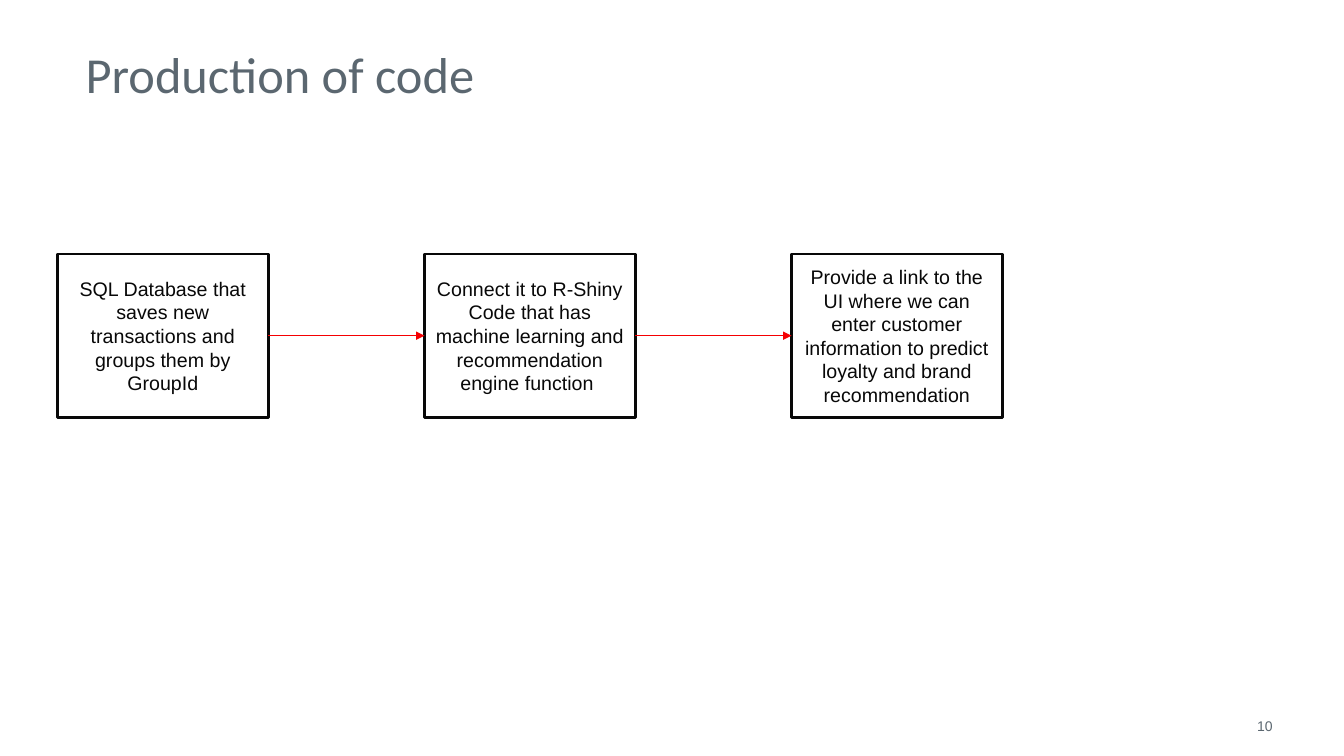
import dataclasses

import lxml.etree
import pptx
import pptx.dml.color
import pptx.enum.shapes
import pptx.enum.text
import pptx.oxml.ns
import pptx.util

Inch = pptx.util.Inches
Point = pptx.util.Pt
Color = pptx.dml.color.RGBColor.from_string
Align = pptx.enum.text.PP_ALIGN
Anchor = pptx.enum.text.MSO_ANCHOR


@dataclasses.dataclass(frozen=True)
class Theme:
    grey: str = "5B6770"
    ink: str = "080808"
    red: str = "F50002"
    white: str = "FFFFFF"
    head: str = "Calibri"
    body: str = "Arial"
    big: int = 36
    mid: int = 14
    small: int = 10
    edge: float = 2
    thin: float = 0.75


THEME = Theme()
STEPS = [
    "SQL Database that saves new transactions and groups them by GroupId",
    "Connect it to R-Shiny Code that has machine learning and recommendation engine function ",
    "Provide a link to the UI where we can enter customer information to predict "
    "loyalty and brand recommendation",
]


def apply(item, form):
    for name, value in form.items():
        setattr(item, name, value)


def place(shape, box):
    names = ("left", "top", "width", "height")
    apply(shape, dict(zip(names, map(Inch, box))))


def write(shape, text, size, font, color, align, anchor):
    frame = shape.text_frame
    frame.text = text
    apply(frame, {
        "word_wrap": True,
        "auto_size": pptx.enum.text.MSO_AUTO_SIZE.NONE,
        "vertical_anchor": anchor,
    })
    para = frame.paragraphs[0]
    para.alignment = align
    run = para.runs[0]
    apply(run.font, {"size": Point(size), "name": font})
    run.font.color.rgb = Color(color)


def stroke(line, color, width):
    line.color.rgb = Color(color)
    line.width = Point(width)


def title(slide, box, text):
    shape = slide.shapes.title
    place(shape, box)
    write(shape, text, THEME.big, THEME.head, THEME.grey, Align.LEFT, Anchor.BOTTOM)


def number(slide, box, text):
    shape = slide.shapes.add_textbox(*map(Inch, box))
    write(shape, text, THEME.small, THEME.body, THEME.grey, Align.RIGHT, Anchor.TOP)


def step(slide, box, text):
    kind = pptx.enum.shapes.MSO_SHAPE.RECTANGLE
    shape = slide.shapes.add_shape(kind, *map(Inch, box))
    shape.shadow.inherit = False
    shape.fill.solid()
    shape.fill.fore_color.rgb = Color(THEME.white)
    stroke(shape.line, THEME.ink, THEME.edge)
    write(shape, text, THEME.mid, THEME.body, THEME.ink, Align.CENTER, Anchor.MIDDLE)
    return shape


def arrow(slide, start, end):
    kind = pptx.enum.shapes.MSO_CONNECTOR.STRAIGHT
    link = slide.shapes.add_connector(kind, 0, 0, 0, 0)
    link.begin_connect(start, 3)
    link.end_connect(end, 1)
    stroke(link.line, THEME.red, THEME.thin)
    name = pptx.oxml.ns.qn
    props = link._element.spPr
    tail = lxml.etree.SubElement(props.find(name("a:ln")), name("a:tailEnd"))
    tail.set("type", "triangle")
    lxml.etree.SubElement(props, name("a:effectLst"))


def flow(slide, box, texts, share):
    left, top, width, height = box
    wide = width * share
    pitch = (width - wide) / (len(texts) - 1)
    steps = [
        step(slide, (left + i * pitch, top, wide, height), text)
        for i, text in enumerate(texts)
    ]
    for start, end in zip(steps, steps[1:]):
        arrow(slide, start, end)


def main():
    deck = pptx.Presentation()
    apply(deck, {"slide_width": Inch(13.33), "slide_height": Inch(7.5)})
    slide = deck.slides.add_slide(deck.slide_layouts[5])
    title(slide, (0.75, 0.5, 11.5, 0.58), "Production of code")
    number(slide, (9.61, 7.07, 3.11, 0.28), "10")
    flow(slide, (0.57, 2.52, 9.37, 1.62), STEPS, 0.223)
    deck.save("out.pptx")


if __name__ == "__main__":
    main()
